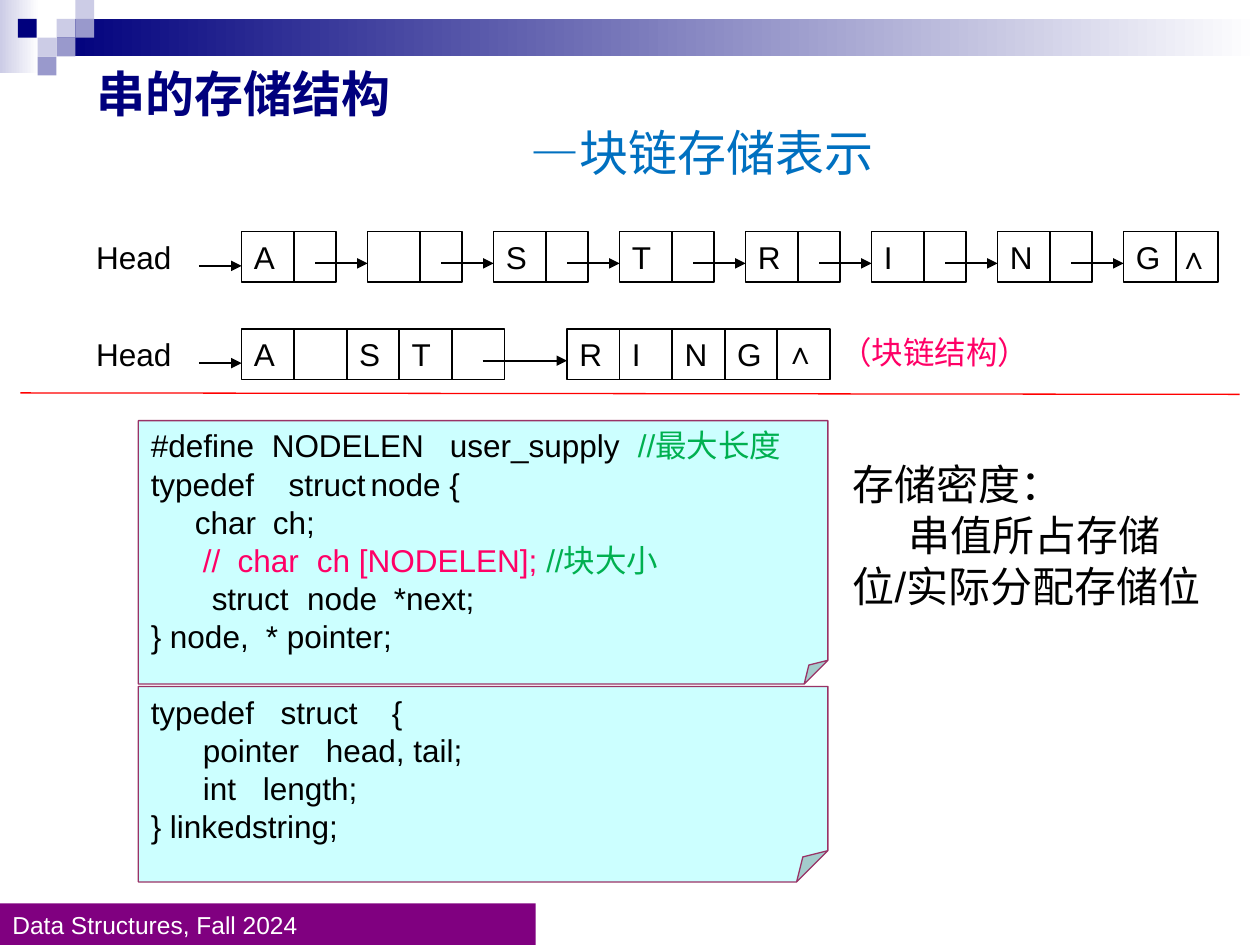
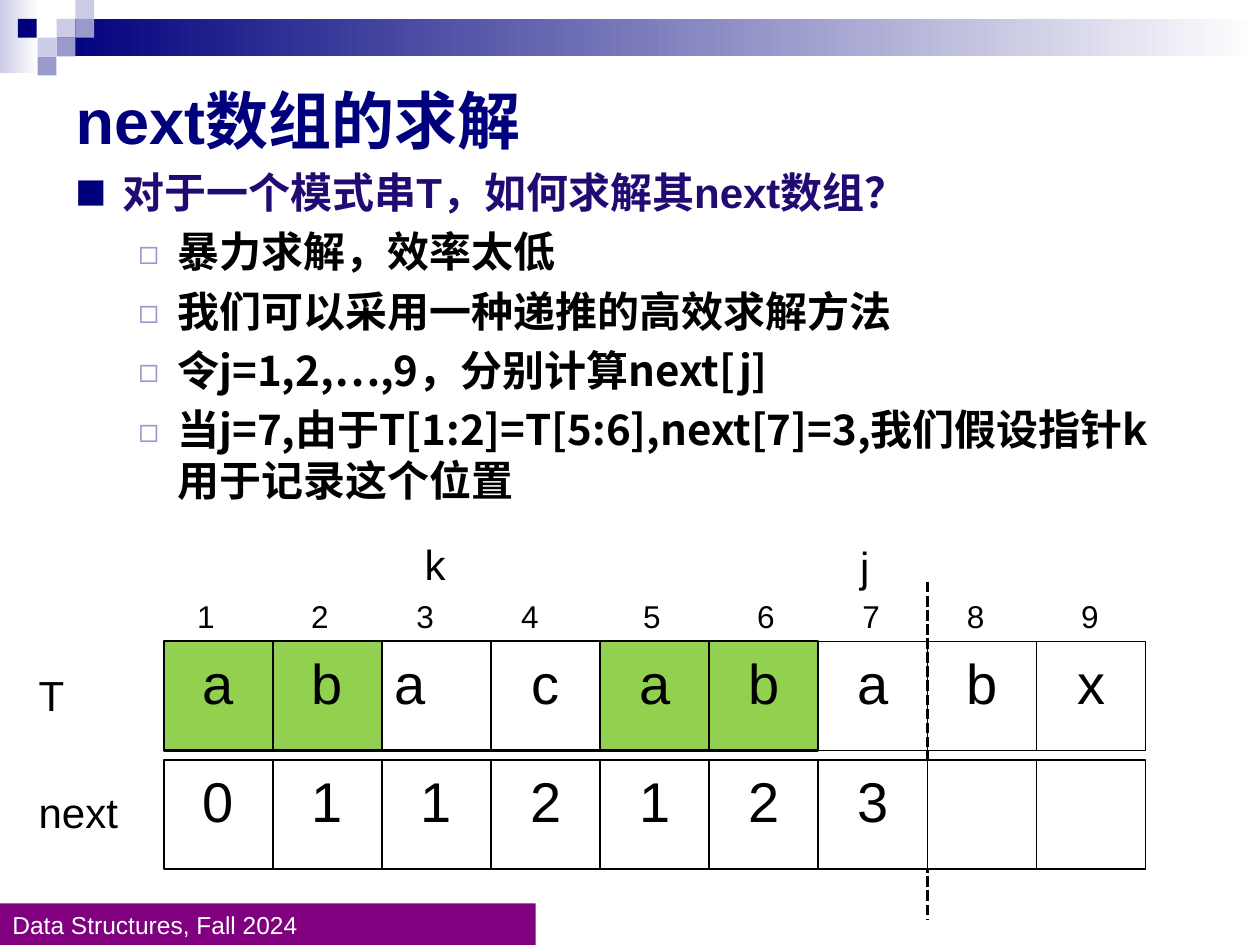
from lxml.etree import SubElement
from pptx import Presentation
from pptx.dml.color import RGBColor
from pptx.enum.dml import MSO_LINE
from pptx.enum.shapes import MSO_CONNECTOR, MSO_SHAPE
from pptx.enum.text import MSO_ANCHOR, MSO_AUTO_SIZE, PP_ALIGN
from pptx.oxml.ns import qn
from pptx.util import Cm, Pt

BLACK = RGBColor(0, 0, 0)
WHITE = RGBColor(0xFF, 0xFF, 0xFF)
NAVY = RGBColor(0x00, 0x00, 0x7D)
LAVENDER = RGBColor(0xCC, 0xCC, 0xE6)
PERIWINKLE = RGBColor(0x99, 0x99, 0xCC)
PURPLE = RGBColor(0x80, 0x00, 0x80)
INDIGO = RGBColor(0x21, 0x0B, 0x73)
BLUE = RGBColor(0x00, 0x70, 0xC0)
PINK = RGBColor(0xFF, 0x00, 0x66)
RED = RGBColor(0xFF, 0x00, 0x00)
GREEN = RGBColor(0x00, 0xB0, 0x50)
LIME = RGBColor(0x92, 0xD0, 0x50)
CYAN = RGBColor(0xCC, 0xFF, 0xFF)
PLUM = RGBColor(0x99, 0x33, 0x66)

LATIN = "Arial"
CJK = "Noto Sans CJK SC"
LINE_PITCH = 1.21
TILE = 0.38
TILES = [
    (1.14, 0.38, LAVENDER), (1.52, 0, LAVENDER), (1.52, 0.38, PERIWINKLE),
    (0.76, 0.76, LAVENDER), (0.36, 0.38, NAVY), (1.14, 0.76, PERIWINKLE),
    (0.76, 1.14, PERIWINKLE),
]

HEAD_X = 1.69
CHAIN_X = 4.87
NODE_PITCH = 2.54
DATA_WIDTH = 1.06
LINK_WIDTH = 0.85
CELL_HEIGHT = 1.02

NODE_CODE = [
    ([2.44, 6.03, 9.82],
     ["#define\tNODELEN\tuser_supply\t", ("//最大长度", GREEN)]),
    ([2.78, 4.43], ["typedef\tstruct\tnode {"]),
    ([0.89, 2.46], ["\tchar\tch;"]),
    ([1.05, 1.75, 3.35],
     ["\t", ("//\tchar\tch [NODELEN]; ", PINK), ("//块大小", GREEN)]),
    ([1.23, 3.15, 4.9], ["\tstruct\tnode\t*next;"]),
    ([2.32], ["} node,\t* pointer;"]),
]
STRING_CODE = [
    ([2.62, 4.86], ["typedef\tstruct\t{"]),
    ([1.05, 3.53], ["\tpointer\thead, tail;"]),
    ([1.05, 2.26], ["\tint\tlength;"]),
    ([], ["} linkedstring;"]),
]

ARRAY_X = 3.3
ARRAY_CELL = 2.2
PATTERN = "abacababx"
NEXT_VALUES = ["0", "1", "1", "2", "1", "2", "3", "", ""]
MATCHED = {0, 1, 4, 5}
INDEX_STOPS = [1.41, 3.71, 5.83, 7.94, 10.4, 12.7, 14.82, 16.93, 19.23]
METHOD_POINTS = [
    "暴力求解，效率太低",
    "我们可以采用一种递推的高效求解方法",
    "令j=1,2,…,9，分别计算next[j]",
    "当j=7,由于T[1:2]=T[5:6],next[7]=3,我们假设指针k用于记录这个位置",
]


def add_text(frame, text, size=18, color=BLACK, bold=False, font=LATIN,
             align=PP_ALIGN.LEFT, before=0):
    first = frame.paragraphs[0]
    paragraph = frame.add_paragraph() if first.runs else first
    paragraph.alignment = align
    paragraph.line_spacing = Pt(round(size * LINE_PITCH, 1))
    paragraph.space_before = Pt(before)
    for part in [text] if isinstance(text, str) else text:
        words, run_color = (part, color) if isinstance(part, str) else part
        run = paragraph.add_run()
        run.text = words
        run.font.name = font
        run.font.size = Pt(size)
        run.font.bold = bold
        run.font.color.rgb = run_color
        SubElement(run._r.get_or_add_rPr(), qn("a:ea"), typeface=CJK)
    return paragraph


def set_indent(paragraph, left, first=0):
    properties = paragraph._p.get_or_add_pPr()
    properties.set("marL", str(Cm(left)))
    properties.set("indent", str(Cm(first)))
    return properties


def set_tabs(paragraph, stops, align="l"):
    tabs = SubElement(paragraph._p.get_or_add_pPr(), qn("a:tabLst"))
    for stop in stops:
        SubElement(tabs, qn("a:tab"), pos=str(Cm(stop)), algn=align)


def set_bullet(paragraph, left, hanging, mark, color, percent):
    properties = set_indent(paragraph, left, -hanging)
    tint = SubElement(properties, qn("a:buClr"))
    SubElement(tint, qn("a:srgbClr"), val=str(color))
    SubElement(properties, qn("a:buSzPct"), val=str(percent * 1000))
    SubElement(properties, qn("a:buFont"), typeface=CJK)
    SubElement(properties, qn("a:buChar"), char=mark)


def prepare_frame(shape, anchor=MSO_ANCHOR.TOP):
    frame = shape.text_frame
    frame.word_wrap = True
    frame.auto_size = MSO_AUTO_SIZE.NONE
    frame.vertical_anchor = anchor
    return frame


def add_box(slide, x, y, width, height, fill=None, border=None, weight=1,
            preset=MSO_SHAPE.RECTANGLE, anchor=MSO_ANCHOR.TOP):
    box = slide.shapes.add_shape(preset, Cm(x), Cm(y), Cm(width), Cm(height))
    box.shadow.inherit = False
    if fill is None:
        box.fill.background()
    else:
        box.fill.solid()
        box.fill.fore_color.rgb = fill
    if border is None:
        box.line.fill.background()
    else:
        box.line.color.rgb = border
        box.line.width = Pt(weight)
    prepare_frame(box, anchor)
    return box


def add_fade(slide, x, y, width, height, start):
    fade = add_box(slide, x, y, width, height)
    fade.fill.gradient()
    fade.fill.gradient_angle = 0
    for stop, color in zip(fade.fill.gradient_stops, (start, WHITE)):
        stop.color.rgb = color


def add_label(slide, x, y, width, height, text, **style):
    label = slide.shapes.add_textbox(Cm(x), Cm(y), Cm(width), Cm(height))
    return add_text(prepare_frame(label), text, **style)


def add_line(slide, x1, y1, x2, y2, color=BLACK, weight=1.25, arrow=False,
             dash=None):
    line = slide.shapes.add_connector(
        MSO_CONNECTOR.STRAIGHT, Cm(x1), Cm(y1), Cm(x2), Cm(y2))
    line.line.color.rgb = color
    line.line.width = Pt(weight)
    if dash is not None:
        line.line.dash_style = dash
    properties = line.element.spPr
    if arrow:
        SubElement(properties.find(qn("a:ln")), qn("a:tailEnd"), type="triangle")
    SubElement(properties, qn("a:effectLst"))


def place_title(slide, x, y, width, height, anchor):
    title = slide.shapes.title
    title.left, title.top = Cm(x), Cm(y)
    title.width, title.height = Cm(width), Cm(height)
    return prepare_frame(title, anchor)


def add_slide(deck):
    slide = deck.slides.add_slide(deck.slide_layouts[5])
    add_fade(slide, 0, 0, 0.79, 1.47, LAVENDER)
    add_fade(slide, 1.14, 0.38, 24.26, 0.76, NAVY)
    for x, y, color in TILES:
        add_box(slide, x, y, TILE, TILE, fill=color)
    footer = add_box(slide, 0, 18.21, 10.8, 0.84, fill=PURPLE)
    add_text(footer.text_frame, "Data Structures, Fall 2024", size=14, color=WHITE)
    return slide


def add_chain_cell(slide, x, y, width, letter=""):
    cell = add_box(slide, x, y, width, CELL_HEIGHT, border=BLACK)
    if letter.strip():
        add_text(cell.text_frame, letter)


def add_head(slide, y):
    add_label(slide, HEAD_X, y, 2.54, CELL_HEIGHT, "Head")
    add_line(slide, 4.01, y + 0.69, CHAIN_X, y + 0.69, arrow=True)


def add_single_chain(slide, y, letters):
    add_head(slide, y)
    for i, letter in enumerate(letters):
        x = CHAIN_X + i * NODE_PITCH
        add_chain_cell(slide, x, y, DATA_WIDTH, letter)
        add_chain_cell(slide, x + DATA_WIDTH, y, LINK_WIDTH)
        if i < len(letters) - 1:
            add_line(slide, x + 1.48, y + 0.64, x + NODE_PITCH, y + 0.64, arrow=True)
    add_label(slide, x + 0.85, y, 1.27, CELL_HEIGHT, "∧")


def add_block_chain(slide, y, blocks):
    add_head(slide, y)
    for start, letters in blocks:
        for i, letter in enumerate(letters.ljust(5)):
            add_chain_cell(slide, start + i * DATA_WIDTH, y, DATA_WIDTH, letter)
    add_line(slide, 9.73, y + 0.64, 11.43, y + 0.64, arrow=True)
    add_label(slide, 15.57, y - 0.05, 1.27, CELL_HEIGHT, "∧")


def add_code_note(slide, y, height, fold, code):
    note = add_box(slide, 2.79, y, 13.9, height, CYAN, PLUM, 0.75,
                   MSO_SHAPE.FOLDED_CORNER, MSO_ANCHOR.MIDDLE)
    guides = note.element.spPr.find(qn("a:prstGeom")).find(qn("a:avLst"))
    SubElement(guides, qn("a:gd"), name="adj", fmla=f"val {round(fold * 100000)}")
    for stops, runs in code:
        line = add_text(note.text_frame, runs)
        if stops:
            set_tabs(line, stops)


def add_array_row(slide, y, values, matched=()):
    for i, value in enumerate(values):
        cell = add_box(slide, ARRAY_X + i * ARRAY_CELL, y, ARRAY_CELL, ARRAY_CELL,
                       LIME if i in matched else WHITE, BLACK,
                       1.25 if i < 6 else 0.75)
        if value:
            shifted = matched and i == 2
            add_text(cell.text_frame, value, size=32,
                     align=PP_ALIGN.LEFT if shifted else PP_ALIGN.CENTER)


def build_storage_slide(deck):
    slide = add_slide(deck)
    title = place_title(slide, 1.19, 1.14, 20.75, 2.64, MSO_ANCHOR.TOP)
    set_indent(add_text(title, "串的存储结构", size=28, color=NAVY, bold=True), 0.5)
    set_indent(add_text(title, "—块链存储表示", size=28, color=BLUE), 9.25)

    add_single_chain(slide, 4.67, "A STRING")
    add_block_chain(slide, 6.63, [(CHAIN_X, "A ST"), (11.43, "RING")])
    add_label(slide, 16.69, 6.58, 8.1, CELL_HEIGHT, "（块链结构）", color=PINK)
    add_line(slide, 0.41, 7.92, 24.99, 7.95, color=RED, weight=0.75)

    add_code_note(slide, 8.48, 5.31, 0.09, NODE_CODE)
    add_code_note(slide, 13.84, 3.94, 0.16, STRING_CODE)

    density = slide.shapes.add_textbox(Cm(16.94), Cm(9.12), Cm(8.08), Cm(3.33))
    frame = prepare_frame(density)
    add_text(frame, "存储密度：", size=24, font=CJK)
    set_indent(add_text(frame, "串值所占存储位/实际分配存储位", size=24), 0, 1.13)


def build_next_slide(deck):
    slide = add_slide(deck)
    title = place_title(slide, 1.27, 1.27, 22.86, 2.26, MSO_ANCHOR.MIDDLE)
    add_text(title, "next数组的求解", size=36, color=NAVY, bold=True)

    outline = slide.shapes.add_textbox(Cm(1.27), Cm(3.23), Cm(22.86), Cm(13.21))
    frame = prepare_frame(outline)
    question = add_text(frame, "对于一个模式串T，如何求解其next数组？", size=24,
                        color=INDIGO, bold=True, before=4.8)
    set_bullet(question, 0.95, 0.95, "■", NAVY, 75)
    for point in METHOD_POINTS:
        step = add_text(frame, point, size=24, bold=True, font=CJK, before=4.8)
        set_bullet(step, 2.06, 0.79, "◻", PERIWINKLE, 80)

    split_x = ARRAY_X + 7 * ARRAY_CELL
    add_line(slide, split_x, 15.11, split_x, 18.52, weight=2, dash=MSO_LINE.SQUARE_DOT)
    add_array_row(slide, 12.93, PATTERN, MATCHED)
    add_array_row(slide, 15.32, NEXT_VALUES)
    add_line(slide, split_x, 11.73, split_x, 15.11, weight=2, dash=MSO_LINE.SQUARE_DOT)

    for x, y, name in [(0.53, 15.72, "next"), (0.53, 13.36, "T"),
                       (8.31, 10.72, "k"), (17.09, 10.77, "j")]:
        add_label(slide, x, y, 2.2, 1.3, name, size=24)
    indices = add_label(slide, 2.49, 11.91, 21.41, CELL_HEIGHT,
                        "".join(f"\t{i}" for i in range(1, 10)))
    set_tabs(indices, INDEX_STOPS, align="ctr")


def main():
    deck = Presentation()
    deck.slide_width, deck.slide_height = Cm(25.4), Cm(19.05)
    build_storage_slide(deck)
    build_next_slide(deck)
    deck.save("out.pptx")


if __name__ == "__main__":
    main()
